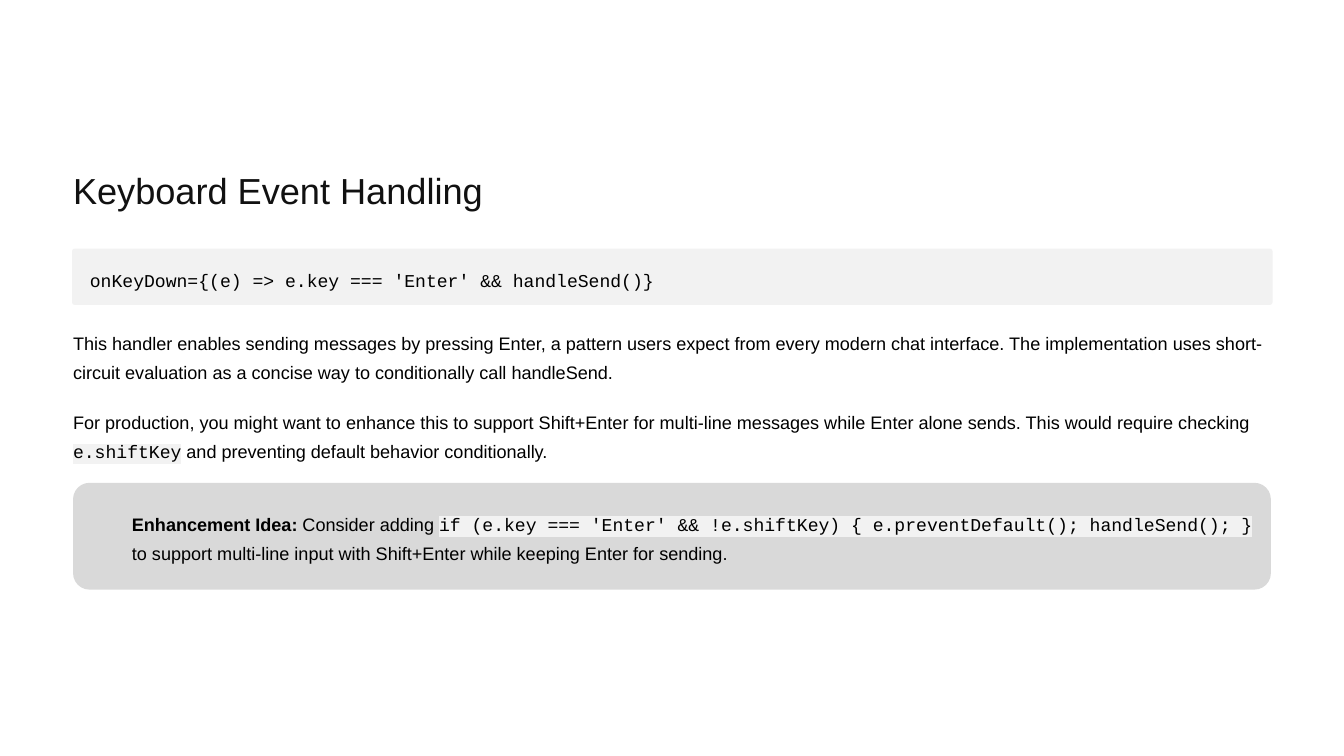
"""Build the slide on keyboard event handling."""
from lxml.etree import Element, SubElement
from pptx import Presentation
from pptx.dml.color import RGBColor as Rgb
from pptx.enum.shapes import MSO_SHAPE as Shape
from pptx.oxml.ns import qn
from pptx.util import Cm, Pt

COLOURS = {"page": "FFFFFF", "title": "111111", "text": "000000", "code": "F2F2F2", "note": "D9D9D9"}
FONTS = {"plain": "Arial", "bold": "Arial", "code": "Courier New"}

TITLE = [("Keyboard Event Handling", "plain")]
HANDLER = [("onKeyDown={(e) => e.key === 'Enter' && handleSend()}", "code")]
EXPLANATION = [
    ("This handler enables sending messages by pressing Enter, a pattern users expect from every "
     "modern chat interface. The implementation uses short-circuit evaluation as a concise way to "
     "conditionally call handleSend.", "plain"),
]
PRODUCTION = [
    ("For production, you might want to enhance this to support Shift+Enter for multi-line messages "
     "while Enter alone sends. This would require checking ", "plain"),
    ("e.shiftKey", "code"),
    (" and preventing default behavior conditionally.", "plain"),
]
IDEA = [
    ("Enhancement Idea:", "bold"),
    (" Consider adding ", "plain"),
    ("if (e.key === 'Enter' && !e.shiftKey) { e.preventDefault(); handleSend(); }", "code"),
    (" to support multi-line input with Shift+Enter while keeping Enter for sending.", "plain"),
]

LEFT, WIDTH = 2.21, 36.22
TWO_LINES = 1.75
BODY = (15.5, 25, "text")
PANELS = [
    ((2.18, 7.52, 36.3, 1.7), 0.048, "code"),
    ((LEFT, 14.6, WIDTH, 3.23), 0.154, "note"),
]
TEXTS = [
    (TITLE, (LEFT, 5.03, 13.46, 1.37), (31, 39, "title"), False),
    (HANDLER, (2.72, 7.92, 35.18, 0.89), BODY, False),
    (EXPLANATION, (LEFT, 9.83, WIDTH, TWO_LINES), BODY, True),
    (PRODUCTION, (LEFT, 12.22, WIDTH, TWO_LINES), BODY, True),
    (IDEA, (3.99, 15.29, 33.89, TWO_LINES), BODY, True),
]


def colour(name):
    return Rgb.from_string(COLOURS[name])


def add_panel(page, place, corner, fill):
    panel = page.shapes.add_shape(Shape.ROUNDED_RECTANGLE, *map(Cm, place))
    panel.shadow.inherit = False
    panel.adjustments[0] = corner
    panel.fill.solid()
    panel.fill.fore_color.rgb = colour(fill)
    panel.line.fill.background()


def highlight(span):
    mark = Element(qn("a:highlight"))
    SubElement(mark, qn("a:srgbClr"), val=COLOURS["code"])
    span.font._element.insert(0, mark)


def add_text(page, spans, place, style, wrap):
    size, spacing, ink = style
    frame = page.shapes.add_textbox(*map(Cm, place)).text_frame
    frame.margin_left = frame.margin_top = frame.margin_right = frame.margin_bottom = 0
    frame.word_wrap = wrap
    para = frame.paragraphs[0]
    para.line_spacing = Pt(spacing)
    para.font.size = Pt(size)
    para.font.color.rgb = colour(ink)
    for words, kind in spans:
        span = para.add_run()
        span.text = words
        span.font.name = FONTS[kind]
        if kind == "bold":
            span.font.bold = True
        if kind == "code":
            highlight(span)


def main():
    deck = Presentation()
    deck.slide_width, deck.slide_height = Cm(40.64), Cm(22.86)
    page = deck.slides.add_slide(deck.slide_layouts[6])
    page.background.fill.solid()
    page.background.fill.fore_color.rgb = colour("page")
    for panel in PANELS:
        add_panel(page, *panel)
    for text in TEXTS:
        add_text(page, *text)
    deck.save("out.pptx")


if __name__ == "__main__":
    main()
